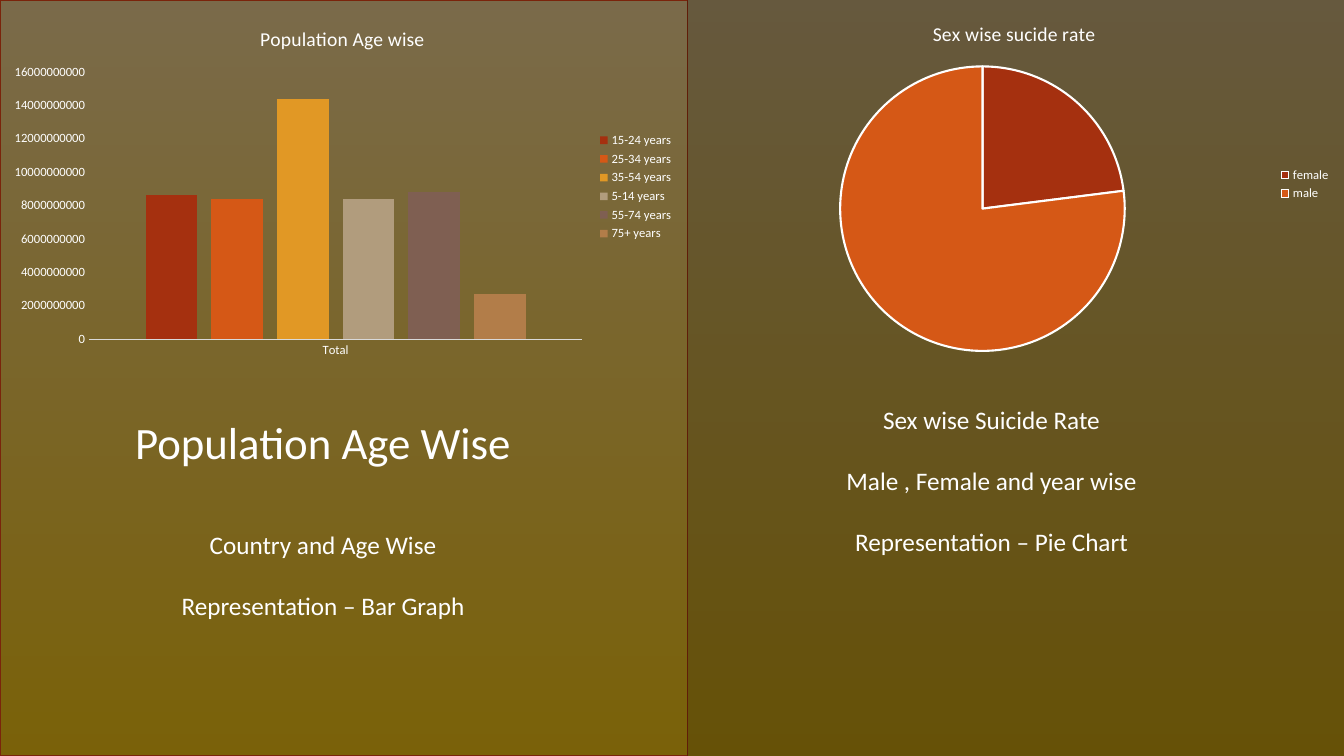
from lxml import etree
from pptx import Presentation, util as u
from pptx.chart.data import CategoryChartData
from pptx.dml.color import RGBColor
from pptx.enum import chart as charts, shapes, text
from pptx.oxml import ns

WHITE = RGBColor(0xFF, 0xFF, 0xFF)
BLACK = RGBColor(0x00, 0x00, 0x00)
SAND = RGBColor(0xFF, 0xDF, 0x9B)
GOLD = RGBColor(0xFF, 0xCC, 0x13)
MAROON = RGBColor(0x7A, 0x24, 0x0B)
AXIS_GREY = RGBColor(0xD9, 0xD9, 0xD9)
RUST = RGBColor(0xA5, 0x30, 0x0F)
ORANGE = RGBColor(0xD5, 0x58, 0x16)
AMBER = RGBColor(0xE1, 0x98, 0x25)
TAN = RGBColor(0xB1, 0x9C, 0x7D)
UMBER = RGBColor(0x7F, 0x5F, 0x52)
COPPER = RGBColor(0xB2, 0x7D, 0x49)

AGE_GROUPS = [
    ("15-24 years", 8600000000, RUST),
    ("25-34 years", 8400000000, ORANGE),
    ("35-54 years", 14400000000, AMBER),
    ("5-14 years", 8400000000, TAN),
    ("55-74 years", 8800000000, UMBER),
    ("75+ years", 2700000000, COPPER),
]
SEXES = [("female", 23, RUST), ("male", 77, ORANGE)]
SPLIT = 51.16


class SlideBuilder:
    """Draws styled elements on one slide, placed in percent of its size."""

    def __init__(self, deck, font="Calibri"):
        self.deck, self.font_name = deck, font
        self.page = deck.slides.add_slide(deck.slide_layouts[5])

    def place(self, left, top, width, height):
        across, down = self.deck.slide_width / 100, self.deck.slide_height / 100
        return [u.Emu(round(length)) for length in
                (left * across, top * down, width * across, height * down)]

    def style(self, font, size):
        font.name, font.size, font.bold = self.font_name, u.Pt(size), False
        font.color.rgb = WHITE

    def background(self, top, bottom):
        fill = self.page.background.fill
        fill.gradient()
        fill.gradient_angle = 270
        for stop, color in zip(fill.gradient_stops, (top, bottom)):
            stop.color.rgb = color

    def panel(self, area, opacity, outline=None):
        box = self.page.shapes.add_shape(
            shapes.MSO_SHAPE.RECTANGLE, *self.place(*area))
        box.shadow.inherit = False
        box.fill.solid()
        box.fill.fore_color.rgb = BLACK
        color = box.element.spPr.find(ns.qn("a:solidFill"))[0]
        etree.SubElement(color, ns.qn("a:alpha")).set("val", str(opacity * 1000))
        if outline is None:
            box.line.fill.background()
        else:
            box.line.color.rgb = outline
            box.line.width = u.Pt(1.25)

    def fill_text(self, box, lines, size, gap=0):
        frame = box.text_frame
        frame.word_wrap = True
        frame.auto_size = text.MSO_AUTO_SIZE.NONE
        frame.vertical_anchor = text.MSO_ANCHOR.TOP
        frame.text = "\n".join(lines)
        for index, para in enumerate(frame.paragraphs):
            para.alignment = text.PP_ALIGN.CENTER
            para.line_spacing = 1.0
            para.space_before = u.Pt(gap if index else 0)
            for span in para.runs:
                self.style(span.font, size)

    def title(self, area, wording, size):
        box = self.page.shapes.title
        box.left, box.top, box.width, box.height = self.place(*area)
        box.element.getparent().append(box.element)
        self.fill_text(box, [wording], size)

    def caption(self, area, lines, size=18, gap=22):
        box = self.page.shapes.add_textbox(*self.place(*area))
        self.fill_text(box, lines, size, gap)

    def chart(self, area, kind, heading, data):
        chart = self.page.shapes.add_chart(kind, *self.place(*area), data).chart
        self.style(chart.font, 10)
        chart.has_title = True
        frame = chart.chart_title.text_frame
        frame.text = heading
        self.style(frame.paragraphs[0].runs[0].font, 14)
        chart.has_legend = True
        chart.legend.position = charts.XL_LEGEND_POSITION.RIGHT
        chart.legend.include_in_layout = False
        self.style(chart.legend.font, 9)
        return chart

    def columns(self, area, heading, category, groups):
        data = CategoryChartData()
        data.categories = [category]
        for name, value, _ in groups:
            data.add_series(name, [value])
        chart = self.chart(area, charts.XL_CHART_TYPE.COLUMN_CLUSTERED, heading, data)
        plot = chart.plots[0]
        plot.vary_by_categories = False
        plot.gap_width, plot.overlap = 219, -27
        for series, (_, _, color) in zip(plot.series, groups):
            series.format.fill.solid()
            series.format.fill.fore_color.rgb = color
        for axis in (chart.category_axis, chart.value_axis):
            axis.has_major_gridlines = False
            axis.major_tick_mark = charts.XL_TICK_MARK.NONE
            axis.minor_tick_mark = charts.XL_TICK_MARK.NONE
            self.style(axis.tick_labels.font, 9)
        chart.category_axis.format.line.color.rgb = AXIS_GREY
        chart.category_axis.format.line.width = u.Pt(0.75)
        chart.value_axis.format.line.fill.background()

    def pie(self, area, heading, slices):
        data = CategoryChartData()
        data.categories = [name for name, _, _ in slices]
        data.add_series("Series 1", [value for _, value, _ in slices])
        chart = self.chart(area, charts.XL_CHART_TYPE.PIE, heading, data)
        chart.plots[0].vary_by_categories = True
        for index, (_, _, color) in enumerate(slices):
            look = chart.plots[0].series[0].points[index].format
            look.fill.solid()
            look.fill.fore_color.rgb = color
            look.line.color.rgb = WHITE
            look.line.width = u.Pt(1.5)


def main():
    deck = Presentation()
    deck.slide_width, deck.slide_height = u.Inches(13.33), u.Inches(7.5)
    slide = SlideBuilder(deck)
    slide.background(SAND, GOLD)
    slide.panel((0, 0, SPLIT, 100), 52, MAROON)
    slide.columns((0.08, 1.2, 50.79, 47.07), "Population Age wise", "Total", AGE_GROUPS)
    slide.panel((SPLIT, 0, 100 - SPLIT, 100), 60)
    slide.pie((SPLIT, 0.53, 48.61, 47.73), "Sex wise sucide rate", SEXES)
    slide.title((8.25, 54.13, 31.58, 8.6), "Population Age Wise", 32)
    slide.caption((8.25, 69.4, 31.58, 13.5),
                  ["Country and Age Wise", "Representation – Bar Graph"])
    slide.caption((57.99, 52.8, 31.58, 25.6),
                  ["Sex wise Suicide Rate", "Male , Female and year wise",
                   "Representation – Pie Chart"])
    deck.save("out.pptx")


if __name__ == "__main__":
    main()
